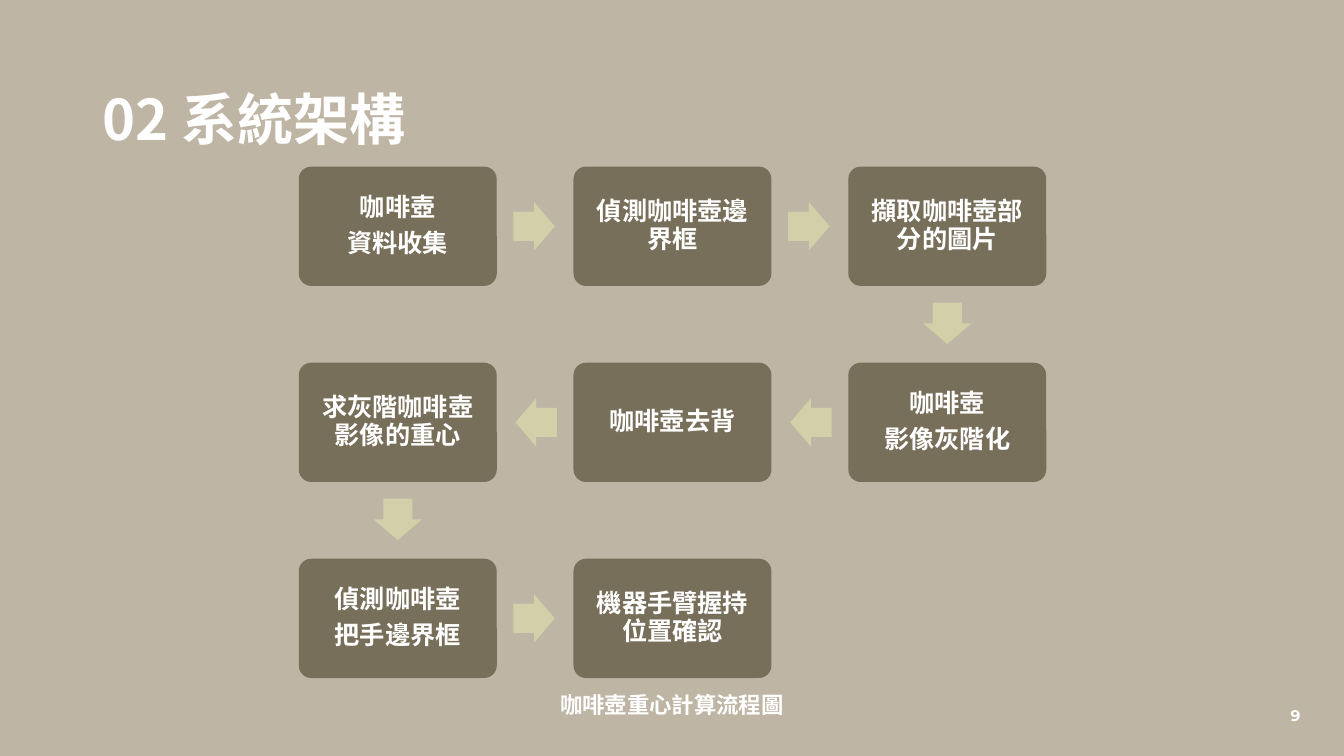
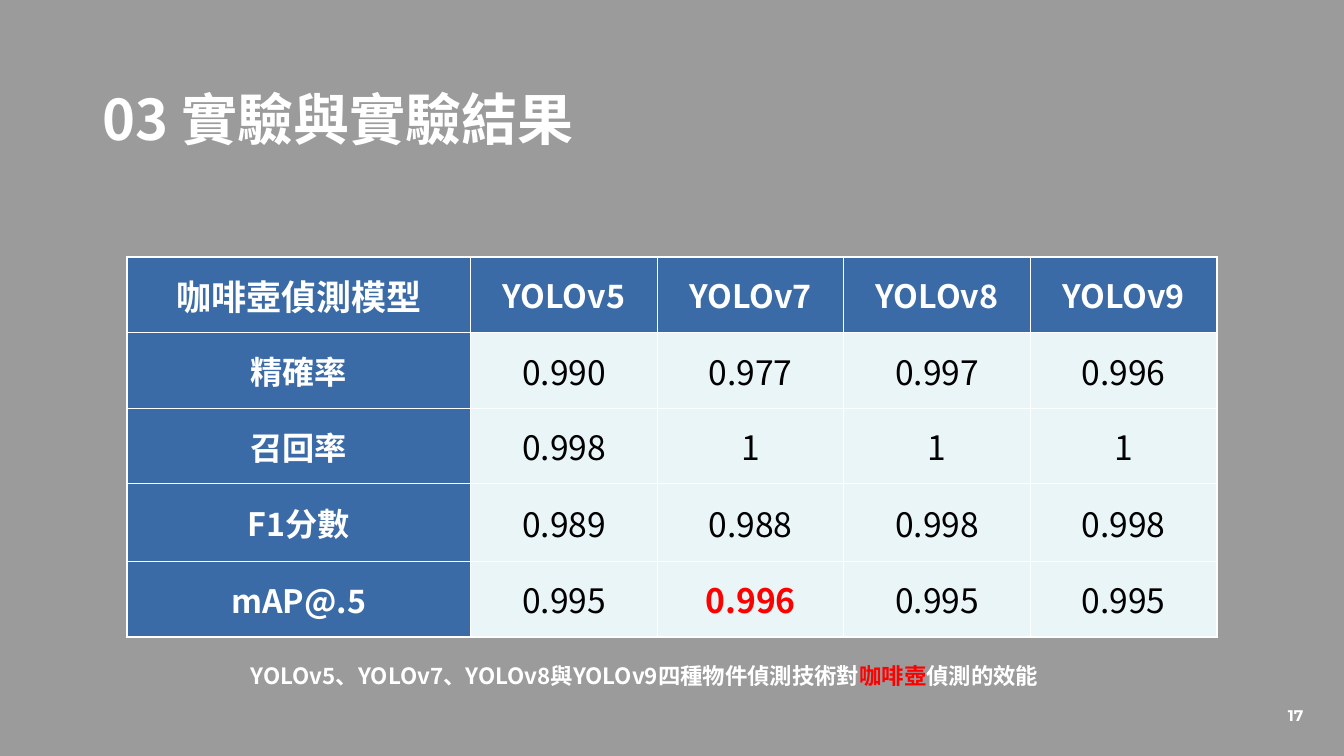
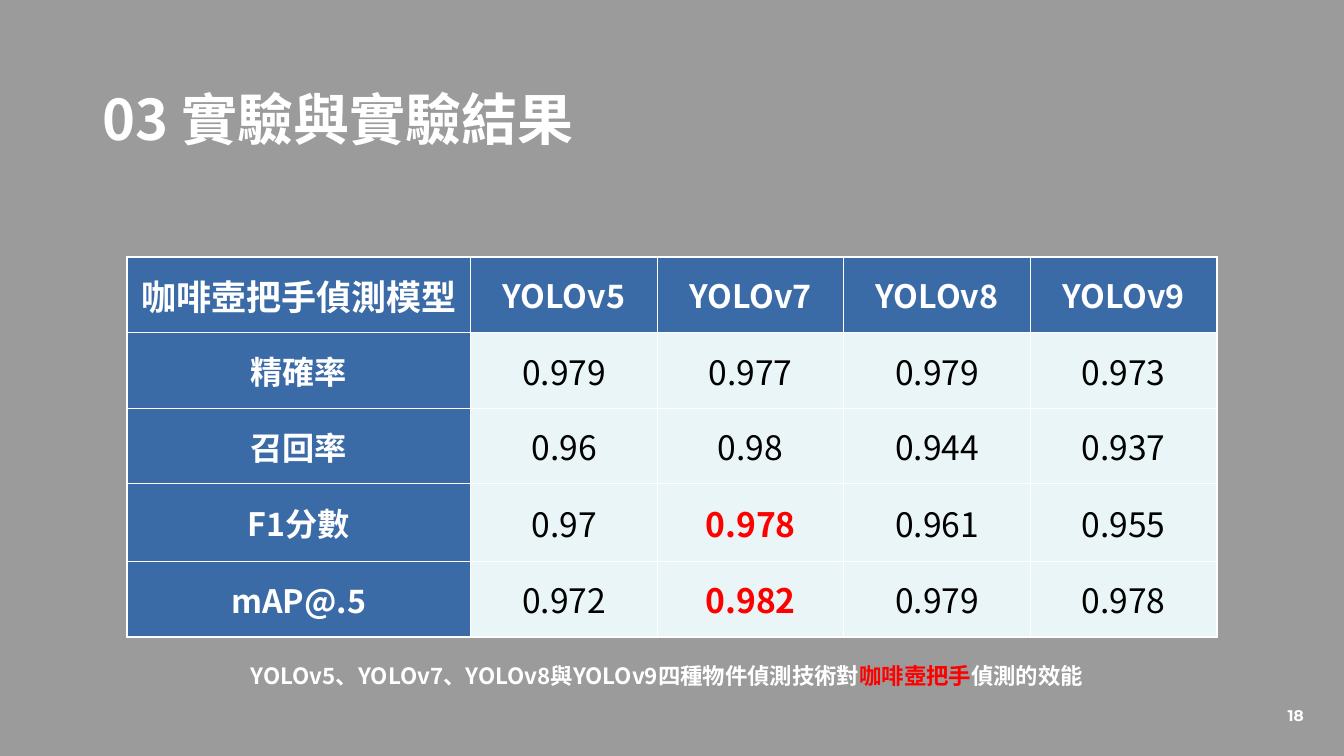
from itertools import pairwise
from math import atan2, cos, degrees, sin

from lxml.etree import SubElement
from pptx import Presentation
from pptx.dml.color import RGBColor
from pptx.enum.shapes import MSO_SHAPE as SHAPE
from pptx.enum.text import MSO_ANCHOR as ANCHOR, MSO_AUTO_SIZE as AUTO, PP_ALIGN as ALIGN
from pptx.oxml import parse_xml
from pptx.oxml.ns import nsdecls, qn
from pptx.util import Inches, Pt

FONT = "Noto Sans CJK TC"
WHITE, BLACK, RED = "FFFFFF", "000000", "FF0000"
TAN, GRAY = "BFB5A5", "9B9B9B"
BROWN, SAND = "786F5A", "D3CFA9"
BLUE, ICE = "3B6BA6", "E9F5F6"

TITLE = dict(size=Pt(40))
CAPTION = dict(size=Pt(16))
STEP = dict(size=Pt(18))
PAGE = dict(size=Pt(11), name="Montserrat")
CORNER = dict(size=Pt(25))
HEADER = dict(size=Pt(23))
VALUE = dict(size=Pt(24), bold=False)
BEST = dict(size=Pt(24))

STEPS = [
    ((0, 0), ["咖啡壺", "資料收集"]),
    ((1, 0), ["偵測咖啡壺邊界框"]),
    ((2, 0), ["擷取咖啡壺部分的圖片"]),
    ((2, 1), ["咖啡壺", "影像灰階化"]),
    ((1, 1), ["咖啡壺去背"]),
    ((0, 1), ["求灰階咖啡壺影像的重心"]),
    ((0, 2), ["偵測咖啡壺", "把手邊界框"]),
    ((1, 2), ["機器手臂握持位置確認"]),
]
MODELS = ["YOLOv5", "YOLOv7", "YOLOv8", "YOLOv9"]
METRICS = ["精確率", "召回率", "F1分數", "mAP@.5"]
POT_SCORES = [
    ["0.990", "0.977", "0.997", "0.996"],
    ["0.998", "1", "1", "1"],
    ["0.989", "0.988", "0.998", "0.998"],
    ["0.995", "0.996", "0.995", "0.995"],
]
HANDLE_SCORES = [
    ["0.979", "0.977", "0.979", "0.973"],
    ["0.96", "0.98", "0.944", "0.937"],
    ["0.97", "0.978", "0.961", "0.955"],
    ["0.972", "0.982", "0.979", "0.978"],
]


def rgb(color):
    return RGBColor.from_string(color)


def inches(box):
    return [Inches(v) for v in box]


def set_attrs(obj, **values):
    for name, value in values.items():
        setattr(obj, name, value)


def add_run(p, text, fmt, color=WHITE):
    r = p.add_run()
    r.text = text
    set_attrs(r.font, **{"name": FONT, "bold": True, **fmt})
    r.font.color.rgb = rgb(color)
    SubElement(r.font._element, qn("a:ea"), typeface=r.font.name)


def add_text(s, box, runs, fmt, align=ALIGN.LEFT, anchor=ANCHOR.TOP):
    tf = s.shapes.add_textbox(*inches(box)).text_frame
    set_attrs(tf, word_wrap=True, vertical_anchor=anchor)
    p = tf.paragraphs[0]
    p.alignment = align
    for text, color in runs:
        add_run(p, text, fmt, color)


def add_shape(s, kind, box, fill, adjustments):
    sp = s.shapes.add_shape(kind, *inches(box))
    sp.shadow.inherit = False
    sp.fill.solid()
    sp.fill.fore_color.rgb = rgb(fill)
    sp.line.fill.background()
    for i, value in enumerate(adjustments):
        sp.adjustments[i] = value
    return sp


def new_slide(prs, title, width, page, color):
    s = prs.slides.add_slide(prs.slide_layouts[5])
    s.background.fill.solid()
    s.background.fill.fore_color.rgb = rgb(color)
    sp = s.shapes.title
    left, top, w, h = inches((0.92, 0.79, width, 0.77))
    set_attrs(sp, left=left, top=top, width=w, height=h)
    tf = sp.text_frame
    set_attrs(tf, word_wrap=True, vertical_anchor=ANCHOR.TOP, auto_size=AUTO.SHAPE_TO_FIT_TEXT)
    tf.paragraphs[0].alignment = ALIGN.LEFT
    add_run(tf.paragraphs[0], title, TITLE)
    add_text(s, (12.54, 6.9, 0.62, 0.4), [(page, WHITE)], PAGE, ALIGN.CENTER, ANCHOR.MIDDLE)
    return s


def add_step(s, box, lines):
    sp = add_shape(s, SHAPE.ROUNDED_RECTANGLE, box, BROWN, [0.1])
    sp.line.color.rgb = rgb(BROWN)
    sp.line.width = Pt(1)
    tf = sp.text_frame
    set_attrs(tf, word_wrap=True, vertical_anchor=ANCHOR.MIDDLE)
    for side in ("left", "top", "right", "bottom"):
        setattr(tf, f"margin_{side}", Inches(0.07))
    for i, line in enumerate(lines):
        p = tf.add_paragraph() if i else tf.paragraphs[0]
        set_attrs(p, alignment=ALIGN.CENTER, line_spacing=0.9, space_after=Pt(6.3))
        add_run(p, line, STEP)


def add_arrow(s, start, end):
    w, h, setback = 0.41, 0.48, 0.01
    (x1, y1), (x2, y2) = start, end
    angle = atan2(y2 - y1, x2 - x1)
    x = (x1 + x2) / 2 - setback * cos(angle)
    y = (y1 + y2) / 2 - setback * sin(angle)
    sp = add_shape(s, SHAPE.RIGHT_ARROW, (x - w / 2, y - h / 2, w, h), SAND, [0.6, 0.5])
    sp.rotation = degrees(angle)


def add_flow(s, box, steps):
    left, top, width, height = box
    w, h = 1.95, 1.17
    dx, dy = (width - w) / 2, (height - h) / 2
    centers = []
    for (col, row), lines in steps:
        x, y = left + col * dx, top + row * dy
        add_step(s, (x, y, w, h), lines)
        centers.append((x + w / 2, y + h / 2))
    for start, end in pairwise(centers):
        add_arrow(s, start, end)


def format_cell(cell, text, fmt, color, fill):
    cell.vertical_anchor = ANCHOR.MIDDLE
    cell.fill.solid()
    cell.fill.fore_color.rgb = rgb(fill)
    p = cell.text_frame.paragraphs[0]
    p.alignment = ALIGN.CENTER
    add_run(p, text, fmt, color)
    tcPr = cell._tc.get_or_add_tcPr()
    for i, side in enumerate("LRTB"):
        tcPr.insert(i, parse_xml(
            f'<a:ln{side} {nsdecls("a")} w="12700"><a:solidFill>'
            f'<a:srgbClr val="{WHITE}"/></a:solidFill></a:ln{side}>'))


def add_scores(s, box, corner, scores, best):
    rows = [[corner, *MODELS]] + [[m, *v] for m, v in zip(METRICS, scores)]
    table = s.shapes.add_table(len(rows), len(rows[0]), *inches(box)).table
    label_width = 3.41
    model_width = (box[2] - label_width) / len(MODELS)
    for i, col in enumerate(table.columns):
        col.width = Inches(model_width if i else label_width)
    for row, height in zip(table.rows, (0.75, 0.75, 0.75, 0.77, 0.75)):
        row.height = Inches(height)
    for i, row in enumerate(rows):
        for j, text in enumerate(row):
            if i == j == 0:
                style = CORNER, WHITE, BLUE
            elif i == 0 or j == 0:
                style = HEADER, WHITE, BLUE
            elif (i, j) in best:
                style = BEST, RED, ICE
            else:
                style = VALUE, BLACK, ICE
            format_cell(table.cell(i, j), text, *style)


def flow_slide(prs):
    s = new_slide(prs, "02 系統架構", 3.48, "9", TAN)
    add_text(s, (3.33, 6.81, 6.67, 0.37), [("咖啡壺重心計算流程圖", WHITE)], CAPTION, ALIGN.CENTER)
    add_flow(s, (2.97, 1.66, 7.4, 5.06), STEPS)


def scores_slide(prs, page, title_width, target, scores, best):
    s = new_slide(prs, "03 實驗與實驗結果", title_width, page, GRAY)
    add_scores(s, (1.26, 2.55, 10.81, 3.77), f"{target}偵測模型", scores, best)
    caption = [
        ("YOLOv5、YOLOv7、YOLOv8與YOLOv9四種物件偵測技術對", WHITE),
        (target, RED),
        ("偵測的效能", WHITE),
    ]
    add_text(s, (2.39, 6.52, 8.58, 0.37), caption, CAPTION)


def main():
    prs = Presentation()
    set_attrs(prs, slide_width=Inches(13.33), slide_height=Inches(7.5))
    flow_slide(prs)
    scores_slide(prs, "17", 5.07, "咖啡壺", POT_SCORES, {(4, 2)})
    scores_slide(prs, "18", 4.94, "咖啡壺把手", HANDLE_SCORES, {(3, 2), (4, 2)})
    prs.save("out.pptx")


if __name__ == "__main__":
    main()
